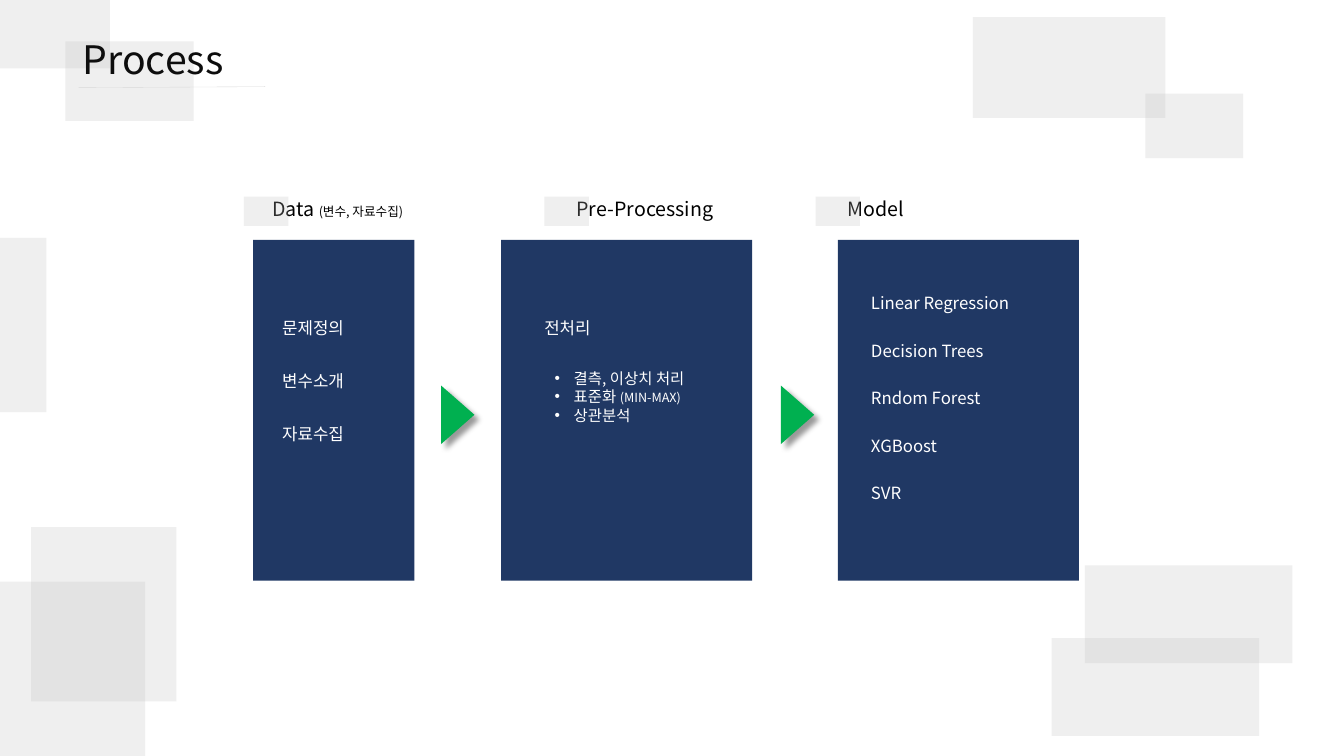
import pptx
import pptx.util
import pptx.dml.color
import pptx.enum.shapes
import pptx.enum.text
import pptx.oxml
import pptx.oxml.ns

Inches, Pt = pptx.util.Inches, pptx.util.Pt
SHAPE = pptx.enum.shapes.MSO_SHAPE
FONT = "Noto Sans CJK KR"
COLORS = {"grey": "BFBFBF", "panel": "203864", "arrow": "00B050", "rule": "D9D9D9",
          "title": "0D0D0D", "heading": "000000", "item": "FFFFFF"}
BACKDROP = [(0, 5.77, 1.44, 1.73), (0.31, 5.23, 1.44, 1.73),
            (10.76, 5.61, 2.06, 0.97), (10.43, 6.33, 2.06, 0.97),
            (9.65, 0.17, 1.91, 1), (11.36, 0.93, 0.97, 0.64),
            (0, 2.36, 0.46, 1.73), (0, 0, 1.09, 0.68), (0.65, 0.41, 1.27, 0.79)]
PANEL_TOP, PANEL_HEIGHT = 2.38, 3.38


def rgb(name):
    return pptx.dml.color.RGBColor.from_string(COLORS[name])


def xml(tag, attrs="", inner=""):
    ns = pptx.oxml.ns.nsdecls("a")
    return pptx.oxml.parse_xml(f"<a:{tag} {ns} {attrs}>{inner}</a:{tag}>")


def add_block(s, box, color, kind=SHAPE.RECTANGLE, alpha=None):
    sp = s.shapes.add_shape(kind, *map(Inches, box))
    sp.shadow.inherit = False
    sp.fill.solid()
    sp.fill.fore_color.rgb = rgb(color)
    sp.line.fill.background()
    if alpha:
        clr = sp.element.spPr.find(".//" + pptx.oxml.ns.qn("a:srgbClr"))
        clr.append(xml("alpha", f'val="{alpha * 1000}"'))
    return sp


def write(sp, paragraphs, color, bullet=False, wrap=True):
    """Fill a shape with paragraphs, each a list of (text, size) runs."""
    tf = sp.text_frame
    frame = {"word_wrap": wrap, "auto_size": pptx.enum.text.MSO_AUTO_SIZE.NONE,
             "vertical_anchor": pptx.enum.text.MSO_ANCHOR.TOP}
    for name, value in frame.items():
        setattr(tf, name, value)
    for i, runs in enumerate(paragraphs):
        p = tf.add_paragraph() if i else tf.paragraphs[0]
        layout = {"alignment": pptx.enum.text.PP_ALIGN.LEFT, "line_spacing": 1.0,
                  "space_before": Pt(0), "space_after": Pt(0)}
        for name, value in layout.items():
            setattr(p, name, value)
        if bullet:
            pPr = p._p.get_or_add_pPr()
            pPr.set("marL", str(Inches(0.19)))
            pPr.set("indent", str(-Inches(0.19)))
            pPr.append(xml("buFont", 'typeface="Arial"'))
            pPr.append(xml("buChar", 'char="•"'))
        for text, size in runs:
            r = p.add_run()
            r.text = text
            for name, value in {"name": FONT, "size": Pt(size)}.items():
                setattr(r.font, name, value)
            r.font.color.rgb = rgb(color)
            latin = r.font._element.find(pptx.oxml.ns.qn("a:latin"))
            latin.addnext(xml("ea", f'typeface="{FONT}"'))


def add_text(s, box, runs, color):
    write(s.shapes.add_textbox(*map(Inches, box)), [runs], color)


def move(sp, box):
    """Place a placeholder at box, in front of what is drawn so far."""
    for name, value in zip(("left", "top", "width", "height"), box):
        setattr(sp, name, Inches(value))
    sp.element.getparent().append(sp.element)


def add_header(s, x, y):
    title = s.shapes.title
    move(title, (x, y, 1.82, 0.57))
    write(title, [[("Process", 28)]], "title", wrap=False)
    ends = (x + 0.06, y + 0.57, x + 1.91, y + 0.56)
    line = s.shapes.add_connector(pptx.enum.shapes.MSO_CONNECTOR.STRAIGHT, *map(Inches, ends))
    line.line.color.rgb = rgb("rule")
    line.line.width = Pt(0.25)
    line.element.spPr.append(xml("effectLst"))


def add_stage(s, x, width, heading, heading_x, tag_x):
    """Draw one stage: its panel, its heading and the grey tag over the heading."""
    add_block(s, (x, PANEL_TOP, width, PANEL_HEIGHT), "panel")
    add_text(s, (heading_x, PANEL_TOP - 0.48, 1.84, 0.34), heading, "heading")
    add_block(s, (tag_x, PANEL_TOP - 0.43, 0.44, 0.29), "grey", alpha=24)


def add_items(s, x, y, width, pitch, items):
    for i, item in enumerate(items):
        add_text(s, (x, y + i * pitch, width, 0.3), [(item, 12)], "item")


def add_preprocessing_list(s, x, y):
    add_items(s, x, y, 1.18, 0, ["전처리"])
    body = s.placeholders[1]
    move(body, (x + 0.1, y + 0.51, 1.92, 0.67))
    write(body, [[("결측, 이상치 처리", 11)],
                 [("표준화 ", 11), ("(MIN-MAX)", 9)],
                 [("상관분석", 11)]], "item", bullet=True)


def add_arrow(s, x, y):
    sp = add_block(s, (x, y, 0.58, 0.33), "arrow", SHAPE.ISOSCELES_TRIANGLE)
    sp.rotation = 90
    shadow = xml("outerShdw", f'blurRad="{Pt(4)}" dist="{Pt(5)}" dir="2700000" '
                 'algn="tl" rotWithShape="0"',
                 '<a:srgbClr val="000000"><a:alpha val="40000"/></a:srgbClr>')
    sp.element.spPr.find(pptx.oxml.ns.qn("a:effectLst")).append(shadow)


def build_process_slide(prs):
    s = prs.slides.add_slide(prs.slide_layouts[1])
    for box in BACKDROP:
        add_block(s, box, "grey", alpha=24)
    add_header(s, 0.72, 0.3)
    add_stage(s, 2.51, 1.6, [("Data ", 14), ("(변수, 자료수집)", 9)], 2.6, 2.42)
    add_stage(s, 4.97, 2.49, [("Pre-Processing", 14)], 5.62, 5.4)
    add_stage(s, 8.31, 2.39, [("Model", 14)], 8.31, 8.09)
    add_items(s, 2.7, 3.1, 1.19, 0.525, ["문제정의", "변수소개", "자료수집"])
    add_preprocessing_list(s, 5.3, 3.1)
    add_items(s, 8.54, 2.86, 2.25, 0.47,
              ["Linear Regression", "Decision Trees", "Rndom Forest", "XGBoost", "SVR"])
    for x in (4.25, 7.62):
        add_arrow(s, x, 3.95)


def main():
    prs = pptx.Presentation()
    prs.slide_width, prs.slide_height = Inches(13.33), Inches(7.5)
    build_process_slide(prs)
    prs.save("out.pptx")


if __name__ == "__main__":
    main()
